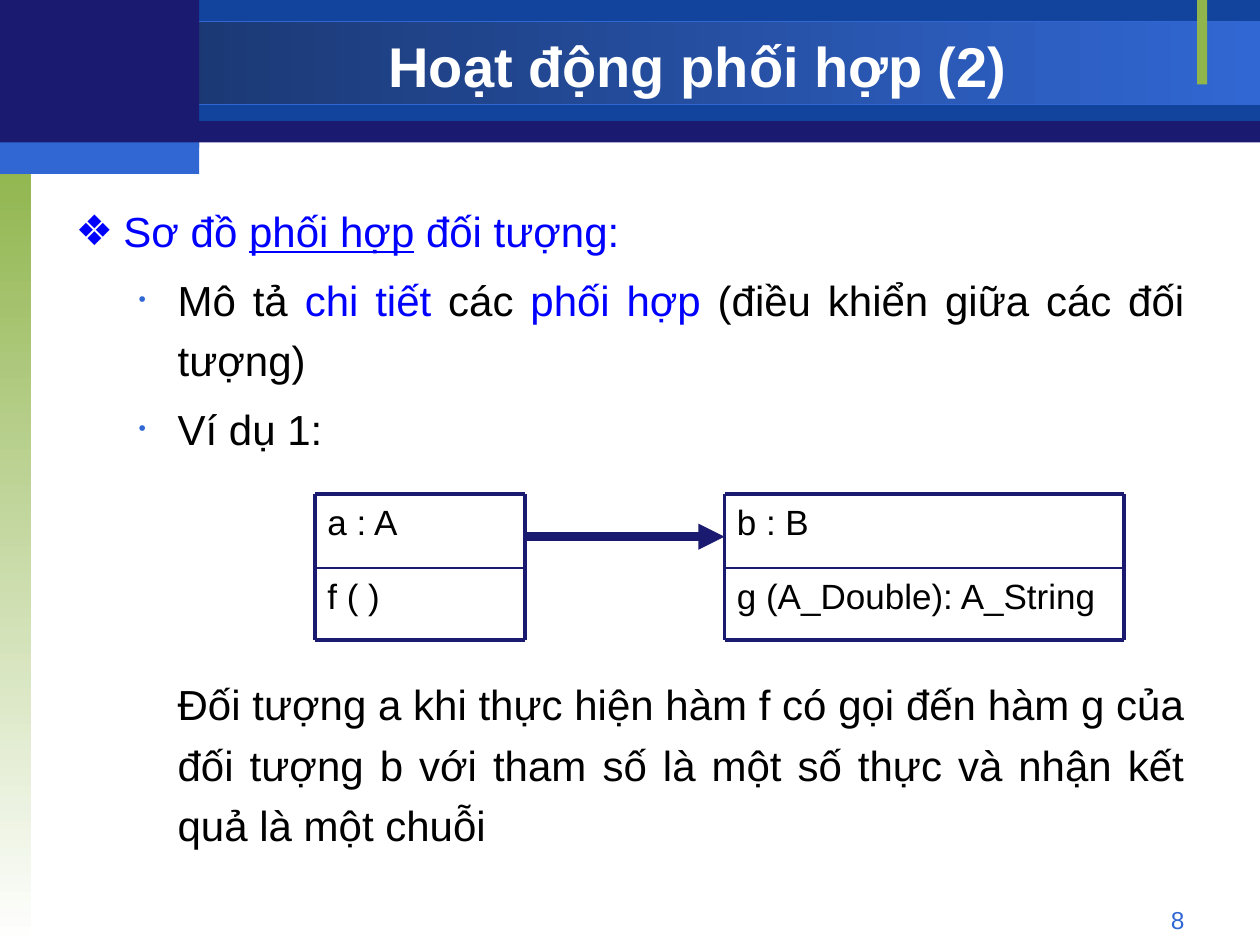
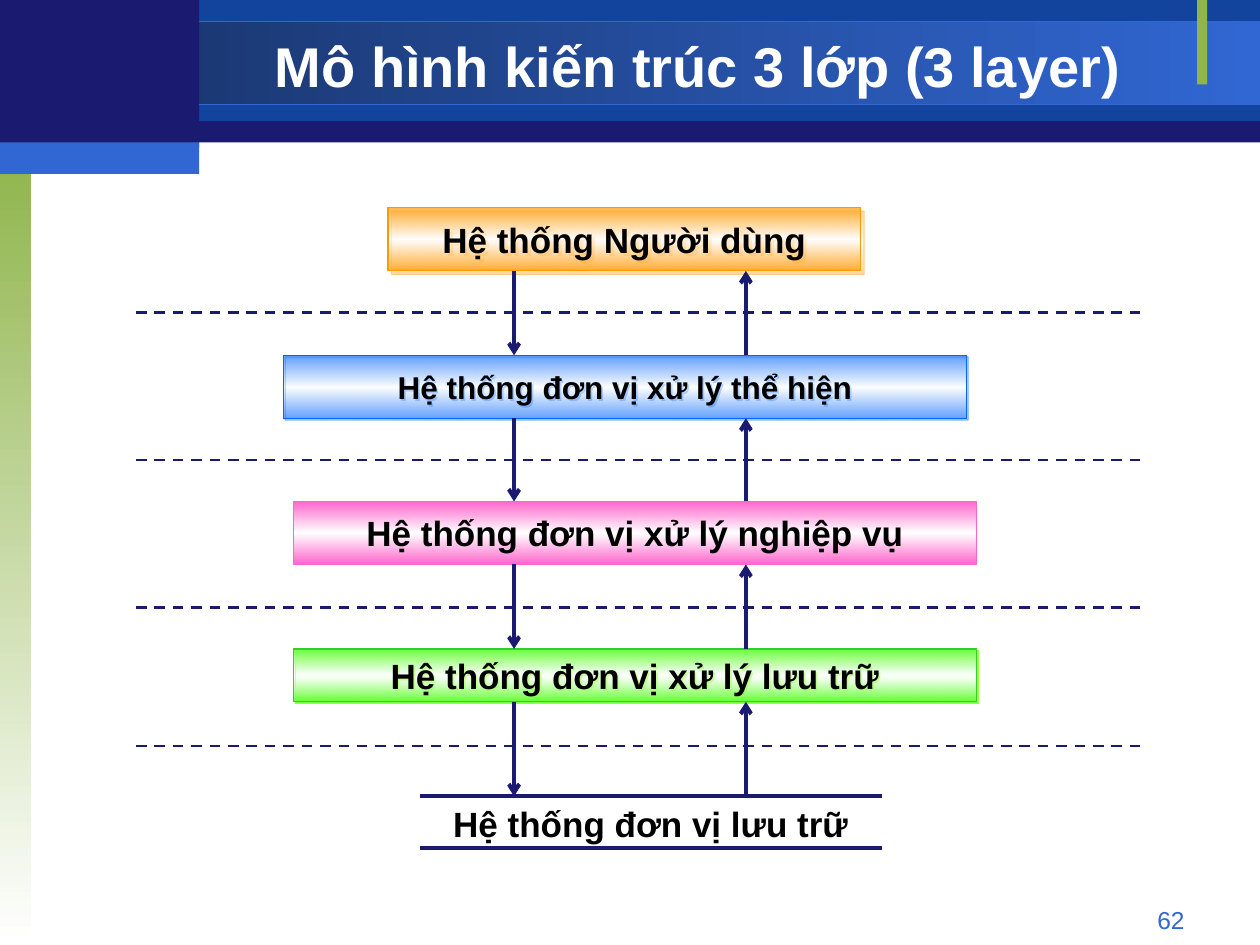
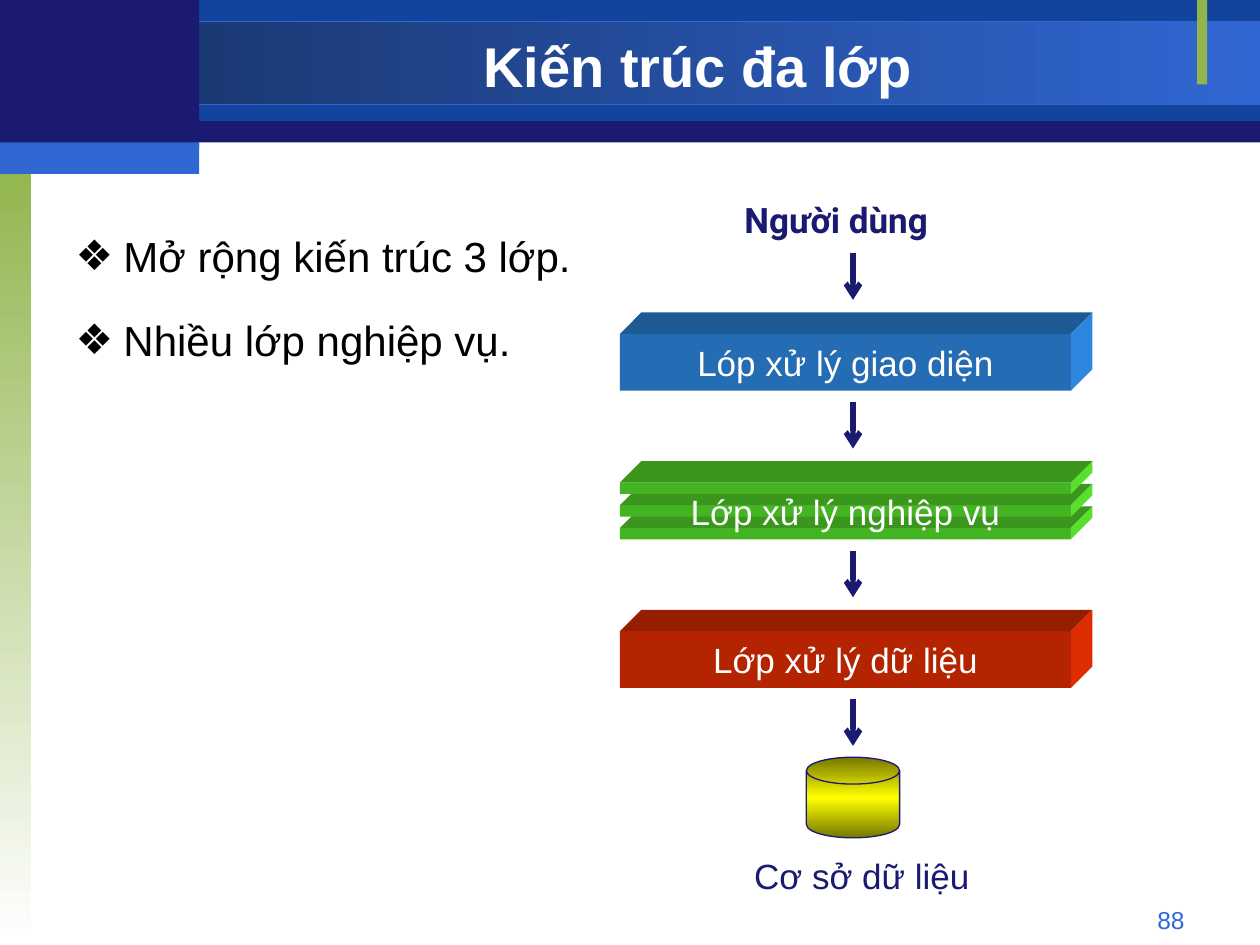
"""Build three lecture slides on object collaboration and layered architecture."""
from lxml.etree import SubElement
from pptx import Presentation
from pptx.dml.color import RGBColor
from pptx.enum.dml import MSO_LINE
from pptx.enum.shapes import MSO_CONNECTOR, MSO_SHAPE
from pptx.enum.text import MSO_ANCHOR, MSO_AUTO_SIZE, PP_ALIGN
from pptx.oxml.ns import qn
from pptx.util import Inches, Pt

NAVY, BLUE, ROYAL, GREEN = "1A1A70", "3167D3", "12449E", "90B54D"
BLACK, WHITE, LINK = "000000", "FFFFFF", "0000FF"
LEFT, MID, RIGHT, FULL = PP_ALIGN.LEFT, PP_ALIGN.CENTER, PP_ALIGN.RIGHT, PP_ALIGN.JUSTIFY
rgb = RGBColor.from_string


def write(para, text, size=20, color=BLACK, bold=False, under=False, align=LEFT, font="Arial"):
    para.alignment = align
    run = para.add_run()
    run.text = text
    run.font.name = font
    run.font.size = Pt(size)
    run.font.bold = bold
    run.font.underline = under
    run.font.color.rgb = rgb(color)


def paint(shape, fill, edge=None, angle=270):
    shape.shadow.inherit = False
    if isinstance(fill, str):
        shape.fill.solid()
        shape.fill.fore_color.rgb = rgb(fill)
    else:
        shape.fill.gradient()
        shape.fill.gradient_angle = angle
        stops = shape._element.spPr.find(".//" + qn("a:gsLst"))
        stops.clear()
        for i, (color, alpha) in enumerate(fill):
            stop = SubElement(stops, qn("a:gs"), pos=str(i * 100000 // (len(fill) - 1)))
            tint = SubElement(stop, qn("a:srgbClr"), val=color)
            SubElement(tint, qn("a:alpha"), val=str(alpha * 1000))
    if edge:
        shape.line.color.rgb = rgb(edge)
        shape.line.width = Pt(0.75)
    else:
        shape.line.fill.background()


deck = Presentation()
deck.slide_width, deck.slide_height = Inches(10), Inches(7.5)
labels, lines, slides = [], [], []

for title, number, kind in (
    ("Hoạt động phối hợp (2)", "8", 1),
    ("Mô hình kiến trúc 3 lớp (3 layer)", "62", 5),
    ("Kiến trúc đa lớp", "88", 1),
):
    slide = deck.slides.add_slide(deck.slide_layouts[kind])
    slides.append(slide)
    head = slide.shapes.title
    head.left, head.top, head.width, head.height = map(Inches, (1.58, 0.23, 7.92, 0.58))
    head.text_frame.auto_size = MSO_AUTO_SIZE.NONE
    head.text_frame.vertical_anchor = MSO_ANCHOR.MIDDLE
    write(head.text_frame.paragraphs[0], title, size=32, color=WHITE, bold=True, align=MID)
    labels.append((slide, 7.17, 7.13, 2.33, 0.27, number,
                   dict(size=14, color=BLUE, align=RIGHT)))
first, second, third = slides

bands = (
    (0, 0.01, 10, 1.12, NAVY, None, 0),
    (1.58, 0, 8.42, 0.96, ROYAL, None, 0),
    (0, 0.17, 10, 0.66, [("173062", 100), (BLUE, 100)], BLUE, 0),
    (0, 1.25, 0.25, 6.25, [(GREEN, 100), (WHITE, 100)], None, 270),
    (9.5, 0, 0.08, 0.67, GREEN, None, 0),
    (0, 0, 1.58, 1.17, NAVY, None, 0),
    (0, 1.13, 1.58, 0.25, BLUE, None, 0),
)
for i, (x, y, w, h, fill, edge, angle) in enumerate(bands):
    band = first.shapes.add_shape(MSO_SHAPE.RECTANGLE, *map(Inches, (x, y, w, h)))
    paint(band, fill, edge, angle)
    band._element.nvSpPr.cNvPr.set("id", str(20 + i))
    deck.slide_master.shapes._spTree.insert(2 + i, band._element)

lists = (
    (first, (0.5, 1.5, 9, 5.5), 1.2, FULL, (
        (0, "❖", 0, (("Sơ đồ ", LINK, False), ("phối hợp", LINK, True),
                     (" đối tượng:", LINK, False))),
        (1, "•", 4.8, (("Mô tả ", BLACK, False), ("chi tiết", LINK, False),
                       (" các ", BLACK, False), ("phối hợp", LINK, False),
                       (" (điều khiển giữa các đối tượng)", BLACK, False))),
        (1, "•", 4.8, (("Ví dụ 1:", BLACK, False),)),
        (1, None, 122.8, (("Đối tượng a khi thực hiện hàm f có gọi đến hàm g của đối tượng b "
                           "với tham số là một số thực và nhận kết quả là một chuỗi",
                           BLACK, False),)),
    )),
    (third, (0.5, 1.58, 4.5, 5.42), 1.5, LEFT, (
        (0, "❖", 0, (("Mở rộng kiến trúc 3 lớp.", BLACK, False),)),
        (0, "❖", 4.8, (("Nhiều lớp nghiệp vụ.", BLACK, False),)),
    )),
)
for slide, spot, space, align, items in lists:
    body = slide.placeholders[1]
    body.left, body.top, body.width, body.height = map(Inches, spot)
    frame = body.text_frame
    frame.auto_size = MSO_AUTO_SIZE.NONE
    for i, (level, mark, gap, runs) in enumerate(items):
        para = frame.add_paragraph() if i else frame.paragraphs[0]
        para.level = level
        para.line_spacing = space
        para.space_before = Pt(gap)
        props = para._p.get_or_add_pPr()
        margin, hang = ((0.38, -0.38), (0.81, -0.31))[level]
        props.set("marL", str(Inches(margin)))
        props.set("indent", str(Inches(hang if mark else 0)))
        if mark and level:
            SubElement(SubElement(props, qn("a:buClr")), qn("a:srgbClr"), val=BLUE)
            SubElement(props, qn("a:buSzPct"), val="50000")
        if mark:
            SubElement(props, qn("a:buChar"), char=mark)
        else:
            SubElement(props, qn("a:buNone"))
        for text, color, under in runs:
            write(para, text, size=24, color=color, under=under, align=align)

for x, w, name, call in ((2.5, 1.67, "a : A", "f ( )"),
                         (5.75, 3.17, "b : B", "g (A_Double): A_String")):
    labels += [(first, x, 3.92, w, 0.58, name, {}), (first, x, 4.51, w, 0.58, call, {})]
    for y, weight in ((3.92, 2.25), (4.51, 1), (5.08, 2.25)):
        lines.append((first, x, y, x + w, y, weight, None))
    for side in (x, x + w):
        lines.append((first, side, 3.92, side, 5.08, 2.25, None))
lines.append((first, 4.17, 4.26, 5.75, 4.26, 5, "triangle"))

tiers = (
    (3.08, 1.65, 3.75, 0.5, "FF9900", 71, 71, "FF9900", ("FF9900", 50, 2.8), 20,
     "Hệ thống Người dùng"),
    (2.25, 2.82, 5.42, 0.5, "0066FF", 50, 50, "0066FF", ("0066FF", 50, 1.4), 18,
     "Hệ thống đơn vị xử lý thể hiện"),
    (2.33, 3.98, 5.42, 0.5, "FF66CC", 100, 100, "FF66CC", None, 20,
     "Hệ thống đơn vị xử lý nghiệp vụ"),
    (2.33, 5.15, 5.42, 0.42, "66FF33", 100, 50, "33CC33", ("99FF33", 100, 1.4), 20,
     "Hệ thống đơn vị xử lý lưu trữ"),
)
for x, y, w, h, color, rim, core, edge, shade, size, text in tiers:
    tier = second.shapes.add_shape(MSO_SHAPE.RECTANGLE, *map(Inches, (x, y, w, h)))
    paint(tier, [(color, rim), (WHITE, core), (color, rim)], edge)
    if shade:
        tint, alpha, reach = shade
        glow = SubElement(tier._element.spPr.find(qn("a:effectLst")), qn("a:outerShdw"),
                          dist=str(Pt(reach)), dir="2700000", algn="ctr", rotWithShape="0")
        ink = SubElement(glow, qn("a:srgbClr"), val=tint)
        SubElement(ink, qn("a:alpha"), val=str(alpha * 1000))
    tier.text_frame.vertical_anchor = MSO_ANCHOR.MIDDLE
    write(tier.text_frame.paragraphs[0], text, size=size, bold=True, align=MID)

for top, dash, low in ((2.15, 2.48, 2.82), (3.32, 3.65, 3.98),
                       (4.48, 4.82, 5.15), (5.57, 5.92, 6.32)):
    lines += [(second, 4.08, top, 4.08, low, 2.25, "arrow"),
              (second, 5.92, low, 5.92, top, 2.25, "arrow"),
              (second, 1.08, dash, 9.08, dash, 1.5, "dash")]
for y in (6.32, 6.73):
    lines.append((second, 3.33, y, 7, y, 2.25, None))
labels.append((second, 3.33, 6.32, 3.67, 0.43, "Hệ thống đơn vị lưu trữ",
               dict(bold=True, align=MID)))

sea = ("246CB4", "1E5A94", "2E86E0")
leaf = ("44B422", "3A961C", "58E02C")
rust = ("B42400", "961E00", "DE2D00")
x, end, deep = 4.92, 8.5, 0.17
for y, h, (front, lid, side) in ((2.65, 0.45, sea), (4.19, 0.09, leaf), (4.01, 0.09, leaf),
                                 (3.83, 0.09, leaf), (5.01, 0.45, rust)):
    slab = third.shapes.add_shape(MSO_SHAPE.RECTANGLE, *map(Inches, (x, y, end - x, h)))
    paint(slab, front)
    back = y - deep
    for color, dots in (
        (lid, ((x, y), (x + deep, back), (end + deep, back), (end, y))),
        (side, ((end, y), (end + deep, back), (end + deep, back + h), (end, y + h))),
    ):
        dots = [(Inches(a), Inches(b)) for a, b in dots]
        pen = third.shapes.build_freeform(*dots[0])
        pen.add_line_segments(dots[1:], close=True)
        paint(pen.convert_to_shape(), color)
for y, text in ((2.66, "Lóp xử lý giao diện"), (3.84, "Lớp xử lý nghiệp vụ"),
                (5.02, "Lớp xử lý dữ liệu")):
    labels.append((third, x, y, end - x, 0.43, text, dict(color=WHITE, align=MID)))
for i in range(4):
    y = 2.01 + 1.18 * i
    lines.append((third, 6.77, y, 6.77, y + 0.37, 3, "arrow"))
disk = third.shapes.add_shape(MSO_SHAPE.FLOWCHART_MAGNETIC_DISK,
                              *map(Inches, (6.4, 6.01, 0.74, 0.64)))
paint(disk, [("767600", 100), ("FFFF00", 100), ("767600", 100)], NAVY)
labels += [
    (third, 5.81, 1.53, 1.86, 0.43, "Người dùng", dict(color=NAVY, bold=True, font="Roboto")),
    (third, 5.42, 6.73, 2.84, 0.43, "Cơ sở dữ liệu", dict(color=NAVY, align=MID)),
]

for slide, x1, y1, x2, y2, weight, style in lines:
    line = slide.shapes.add_connector(MSO_CONNECTOR.STRAIGHT, *map(Inches, (x1, y1, x2, y2)))
    line.line.color.rgb = rgb(NAVY)
    line.line.width = Pt(weight)
    if style == "dash":
        line.line.dash_style = MSO_LINE.DASH
    elif style:
        SubElement(line.line._get_or_add_ln(), qn("a:tailEnd"), type=style)
    SubElement(line._element.spPr, qn("a:effectLst"))

for slide, x, y, w, h, text, form in labels:
    label = slide.shapes.add_textbox(*map(Inches, (x, y, w, h)))
    label.text_frame.word_wrap = True
    write(label.text_frame.paragraphs[0], text, **form)

deck.save("out.pptx")
